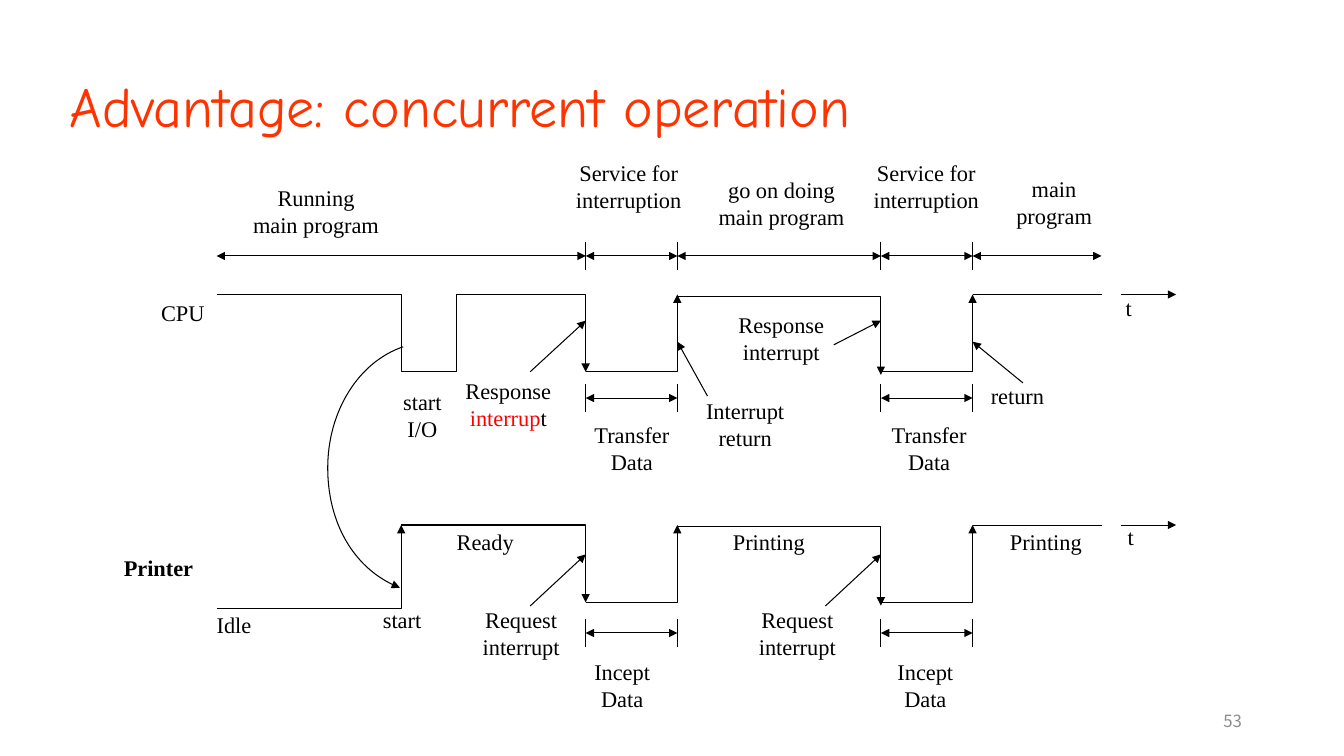
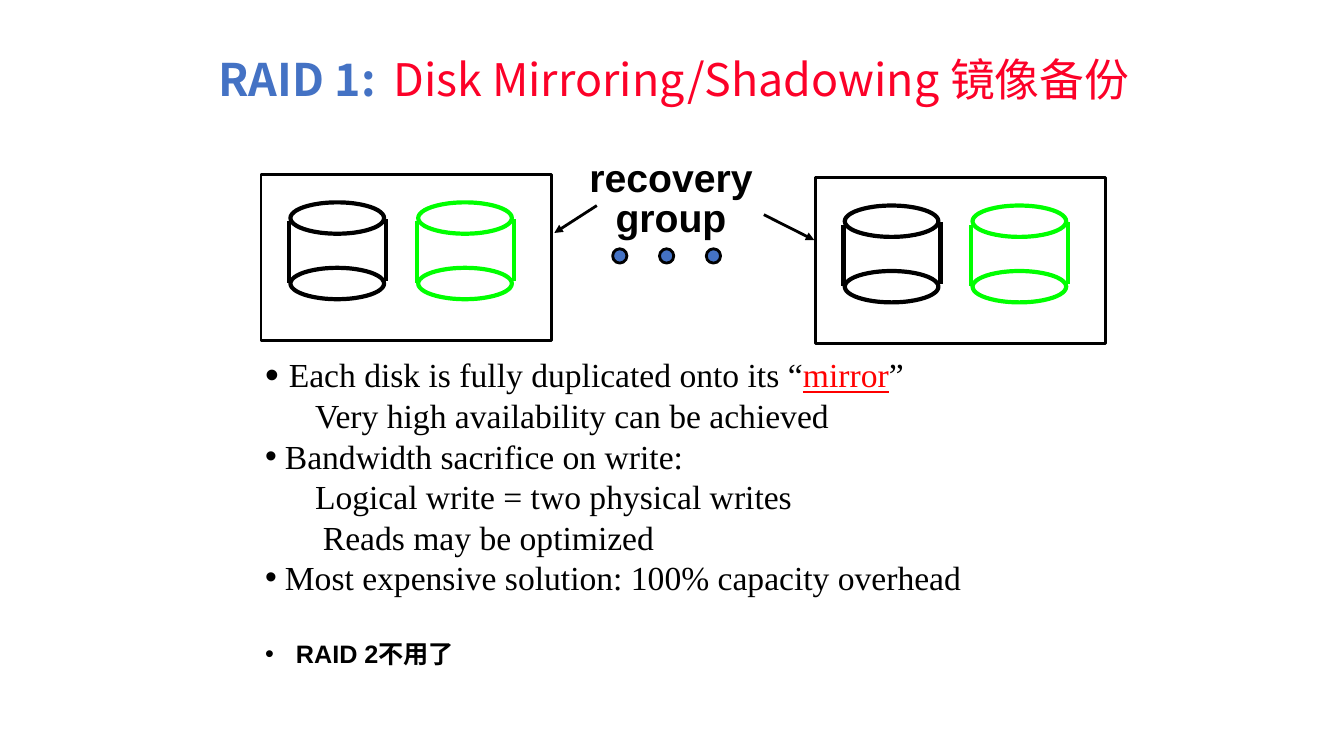
from dataclasses import dataclass

import lxml.etree
import pptx
import pptx.dml.color
import pptx.enum.shapes
import pptx.enum.text
import pptx.oxml.ns
import pptx.util

Cm = pptx.util.Cm
Pt = pptx.util.Pt
qn = pptx.oxml.ns.qn
Align = pptx.enum.text.PP_ALIGN
Anchor = pptx.enum.text.MSO_ANCHOR
Kind = pptx.enum.shapes.MSO_SHAPE
Point = tuple[float, float]


@dataclass(frozen=True)
class Theme:
    black: str = "000000"
    red: str = "FF0000"
    orange: str = "FF3300"
    rose: str = "FC0128"
    blue: str = "4472C4"
    green: str = "00FF00"
    white: str = "FFFFFF"
    grey: str = "8C8C8C"
    serif: str = "Times New Roman"
    sans: str = "Arial"
    comic: str = "Comic Neue"
    hans: str = "Noto Sans CJK SC"
    head: int = 40
    subhead: int = 32
    large: int = 28
    body: int = 24
    note: int = 18
    label: int = 16
    page: int = 12
    thin: float = 0.75
    edge: float = 2
    thick: float = 3


T = Theme()


@dataclass(frozen=True)
class Label:
    text: str
    left: float
    top: float
    width: float = 2.6
    align: Align = Align.CENTER
    bold: bool = False


@dataclass(frozen=True)
class Item:
    text: str
    indent: float
    bullet: bool = False
    before: float = 0


# Shared drawing tools
def rgb(color: str):
    return pptx.dml.color.RGBColor.from_string(color)


def style(run, size: float, face: str, color: str = T.black, bold: bool = False):
    font = run.font
    font.size, font.name, font.bold = Pt(size), face, bold
    font.color.rgb = rgb(color)
    lxml.etree.SubElement(font._element, qn("a:ea"), typeface=T.hans)


def add_text(slide, text: str, left: float, top: float, width: float, height: float):
    box = slide.shapes.add_textbox(Cm(left), Cm(top), Cm(width), Cm(height))
    frame = box.text_frame
    frame.word_wrap = True
    frame.margin_left = frame.margin_right = frame.margin_top = frame.margin_bottom = 0
    frame.text = text
    return frame


def add_title(slide, text: str, left: float, top: float, width: float, height: float):
    title = slide.shapes.title
    title.left, title.top, title.width, title.height = map(Cm, (left, top, width, height))
    frame = title.text_frame
    frame.auto_size = pptx.enum.text.MSO_AUTO_SIZE.NONE
    frame.vertical_anchor = Anchor.MIDDLE
    frame.text = text
    frame.paragraphs[0].alignment = Align.LEFT
    return frame.paragraphs[0]


def stroke(shape, color: str, width: float, start: bool = False, end: bool = False):
    shape.line.color.rgb = rgb(color)
    shape.line.width = Pt(width)
    ln = shape.element.spPr.find(qn("a:ln"))
    for tag, wanted in (("a:headEnd", start), ("a:tailEnd", end)):
        if wanted:
            lxml.etree.SubElement(ln, qn(tag), type="triangle")


def add_line(slide, a: Point, b: Point, color: str = T.black, width: float = T.thin,
             start: bool = False, end: bool = False):
    line = slide.shapes.add_connector(
        pptx.enum.shapes.MSO_CONNECTOR.STRAIGHT, Cm(a[0]), Cm(a[1]), Cm(b[0]), Cm(b[1]))
    stroke(line, color, width, start, end)
    lxml.etree.SubElement(line.element.spPr, qn("a:effectLst"))


def add_trace(slide, points: list[Point], top: float = 0):
    spots = [(Cm(x), Cm(top + y)) for x, y in points]
    pen = slide.shapes.build_freeform(*spots[0])
    pen.add_line_segments(spots[1:], close=False)
    trace = pen.convert_to_shape()
    trace.fill.background()
    trace.shadow.inherit = False
    stroke(trace, T.black, T.thin, end=True)
    return trace


def add_curve(slide, points: list[Point]):
    """Turn each three points after the first into one cubic segment."""
    curve = add_trace(slide, points)
    steps = list(curve.element.iter(qn("a:lnTo")))
    for i in range(0, len(steps), 3):
        cubic = lxml.etree.Element(qn("a:cubicBezTo"))
        steps[i].addprevious(cubic)
        for step in steps[i:i + 3]:
            cubic.append(step[0])
            step.getparent().remove(step)


def add_shape(slide, kind: Kind, left: float, top: float, width: float, height: float,
              fill: str | None, color: str, weight: float):
    shape = slide.shapes.add_shape(kind, Cm(left), Cm(top), Cm(width), Cm(height))
    shape.shadow.inherit = False
    if fill:
        shape.fill.solid()
        shape.fill.fore_color.rgb = rgb(fill)
    else:
        shape.fill.background()
    stroke(shape, color, weight)


# Timing diagram
LEFT, DROP, RISE, RIGHT = 5.46, 10.11, 11.51, 27.76
PULSES = ((14.76, 17.07), (22.2, 24.51))
EDGES = (LEFT, *PULSES[0], *PULSES[1], RIGHT)
CPU, PRINTER = 7.42, 13.23
LOW = 1.95
SPANS, MOVES, INTAKE = 6.45, 10.03, 15.95

LABELS = (
    Label("CPU", 4.06, 7.54, align=Align.LEFT),
    Label("Printer", 3.12, 13.97, align=Align.LEFT, bold=True),
    Label("Idle", 5.46, 15.39, align=Align.LEFT),
    Label("start", 9.65, 15.27, align=Align.LEFT),
    Label("Ready", 11.51, 13.31, align=Align.LEFT),
    Label("Printing", 18.47, 13.31, align=Align.LEFT),
    Label("Printing", 25.45, 13.31, align=Align.LEFT),
    Label("t", 28.37, 7.42, 0.9, Align.LEFT),
    Label("t", 28.42, 13.18, 0.9, Align.LEFT),
    Label("return", 24.97, 9.63, align=Align.LEFT),
    Label("Running\nmain program", 5.64, 4.65, 4.65),
    Label("Service for\ninterruption", 14.22, 4.01, 3.25),
    Label("go on doing\nmain program", 17.37, 4.45, 4.65),
    Label("Service for\ninterruption", 21.72, 4.01, 3.25),
    Label("main\nprogram", 25.17, 4.42, 2.79),
    Label("start\nI/O", 9.25, 9.78, 2.79),
    Label("Transfer\nData", 14.3, 10.62, 3.25),
    Label("Interrupt\nreturn", 17.48, 10.01),
    Label("Response\ninterrupt", 18.39, 7.85),
    Label("Transfer\nData", 21.79, 10.62, 3.25),
    Label("Request\ninterrupt", 11.51, 15.27, 3.25),
    Label("Request\ninterrupt", 18.47, 15.27, 3.25),
    Label("Incept\nData", 14.43, 16.59, 2.5),
    Label("Incept\nData", 22.12, 16.59, 2.4),
)
REPLY = Label("Response\ninterrup", 11.51, 9.5)

POINTERS = (
    ((13.36, 9.37), (14.76, 8.08)), ((21.01, 8.69), (22.2, 8.08)),
    ((17.83, 9.98), (17.07, 8.61)), ((25.78, 9.65), (24.51, 8.61)),
    ((13.36, 15.27), (14.76, 13.97)), ((20.8, 15.27), (22.2, 13.97)),
)


def add_label(slide, label: Label):
    lines = label.text.count("\n") + 1
    frame = add_text(slide, label.text, label.left, label.top, label.width, 0.7 * lines)
    for para in frame.paragraphs:
        para.alignment = label.align
        style(para.runs[0], T.label, T.serif, bold=label.bold)
    return frame


def add_timing(slide):
    # Waves
    (fall, back), (again, last) = PULSES
    add_trace(slide, [(LEFT, 0), (DROP, 0), (DROP, LOW), (RISE, LOW), (RISE, 0),
                      (fall, 0), (fall, LOW)], CPU)
    add_trace(slide, [(LEFT, 2.11), (DROP, 2.11), (DROP, 0)], PRINTER)
    add_trace(slide, [(DROP, 0), (fall, 0), (fall, LOW)], PRINTER)
    for top in (CPU, PRINTER):
        for a, b in PULSES:
            add_trace(slide, [(a, LOW), (b, LOW), (b, 0)], top)
        add_trace(slide, [(back, 0.05), (again, 0.05), (again, 2.03)], top)
        add_line(slide, (last, top), (RIGHT, top))
        add_line(slide, (28.24, top), (29.64, top), end=True)
    # Measured spans with their ticks
    for a, b in zip(EDGES, EDGES[1:]):
        add_line(slide, (a, SPANS), (b, SPANS), start=True, end=True)
    for y in (MOVES, INTAKE):
        for a, b in PULSES:
            add_line(slide, (a, y), (b, y), start=True, end=True)
    for y in (SPANS, MOVES, INTAKE):
        for x in EDGES[1:-1]:
            add_line(slide, (x, y - 0.36), (x, y + 0.36))
    # Pointers and labels
    for a, b in POINTERS:
        add_line(slide, a, b, end=True)
    add_curve(slide, [(10.16, 8.74), (9.04, 9.12), (8.26, 10.36), (8.26, 11.79),
                      (8.26, 13.18), (8.99, 14.4), (10.08, 14.81)])
    for label in LABELS:
        add_label(slide, label)
    para = add_label(slide, REPLY).paragraphs[1]
    para.runs[0].font.color.rgb = rgb(T.red)
    tail = para.add_run()
    tail.text = "t"
    style(tail, T.label, T.serif)


def build_timing(slide):
    para = add_title(slide, "Advantage: concurrent operation", 1.5, 1.68, 22.12, 1.96)
    style(para.runs[0], T.head, T.comic, T.orange)
    add_timing(slide)
    page = add_text(slide, "53", 23.93, 17.65, 7.37, 1.02)
    page.vertical_anchor = Anchor.MIDDLE
    page.paragraphs[0].alignment = Align.RIGHT
    style(page.paragraphs[0].runs[0], T.page, T.hans, T.grey)


# Mirrored disks
ITEMS = (
    Item("Each disk is fully duplicated onto its “", 0.6, True),
    Item("Very high availability can be achieved", 1.26),
    Item("Bandwidth sacrifice on write:", 0.5, True),
    Item("Logical write = two physical writes", 1.26),
    Item("Reads may be optimized", 1.46),
    Item("Most expensive solution: 100% capacity overhead", 0.5, True),
    Item("RAID 2不用了", 0.78, True, 22),
)


def add_disk(slide, left: float, top: float, color: str):
    for y in (0, 1.65):
        add_shape(slide, Kind.OVAL, left, top + y, 2.36, 0.79, T.white, color, T.thick)
    for x, y in ((-0.03, 0.48), (2.41, 0.42)):
        add_line(slide, (left + x, top + y), (left + x, top + y + 1.55), color, T.thick)


def add_pair(slide, left: float, top: float):
    add_disk(slide, left + 0.74, top + 0.71, T.black)
    add_disk(slide, left + 3.96, top + 0.71, T.green)
    add_shape(slide, Kind.RECTANGLE, left, top, 7.32, 4.19, None, T.black, T.edge)


def add_points(slide):
    frame = add_text(slide, "\n".join(item.text for item in ITEMS), 6.68, 8.92, 20.5, 8.2)
    for para, item in zip(frame.paragraphs, ITEMS):
        props = para._p.get_or_add_pPr()
        props.set("marL", str(Cm(item.indent)))
        props.set("indent", str(-Cm(item.indent) if item.bullet else 0))
        if item.bullet:
            if item is ITEMS[0]:
                lxml.etree.SubElement(props, qn("a:buSzPct"), val="117000")
            lxml.etree.SubElement(props, qn("a:buFont"), typeface=T.sans)
            lxml.etree.SubElement(props, qn("a:buChar"), char="•")
        para.line_spacing = Pt(29)
        para.space_before = Pt(item.before)
        style(para.runs[0], T.body, T.serif)
    first, last = frame.paragraphs[0], frame.paragraphs[-1]
    for text, color in (("mirror", T.red), ("”", T.black)):
        run = first.add_run()
        run.text = text
        style(run, T.body, T.serif, color)
        run.font.underline = text == "mirror"
    font = last.runs[0].font
    font.size, font.name, font.bold = Pt(T.note), T.sans, True


def build_mirror(slide):
    para = add_title(slide, "RAID 1:\t", 5.26, 0.58, 25.76, 2.95)
    tabs = lxml.etree.SubElement(para._p.get_or_add_pPr(), qn("a:tabLst"))
    lxml.etree.SubElement(tabs, qn("a:tab"), pos=str(Cm(4.4)), algn="l")
    para.line_spacing = 0.9
    style(para.runs[0], T.subhead, T.hans, T.blue, True)
    rest = para.add_run()
    rest.text = "Disk Mirroring/Shadowing 镜像备份"
    style(rest, T.subhead, T.hans, T.rose)

    for left, top in ((20.55, 4.47), (6.58, 4.39)):
        add_pair(slide, left, top)
    add_points(slide)
    for i in range(3):
        add_shape(slide, Kind.OVAL, 15.44 + 1.18 * i, 6.27, 0.36, 0.36, T.blue, T.black, T.edge)
    group = add_text(slide, "recovery\ngroup", 14.6, 4.04, 4.62, 2)
    for para in group.paragraphs:
        para.alignment, para.line_spacing = Align.CENTER, 0.85
        style(para.runs[0], T.large, T.sans, bold=True)
    for a, b in (((15.04, 5.18), (13.97, 5.87)), ((19.25, 5.41), (20.52, 6.05))):
        add_line(slide, a, b, width=T.edge, end=True)


def main():
    deck = pptx.Presentation()
    deck.slide_width, deck.slide_height = Cm(33.87), Cm(19.05)
    for build in (build_timing, build_mirror):
        build(deck.slides.add_slide(deck.slide_layouts[5]))
    deck.save("out.pptx")


if __name__ == "__main__":
    main()
